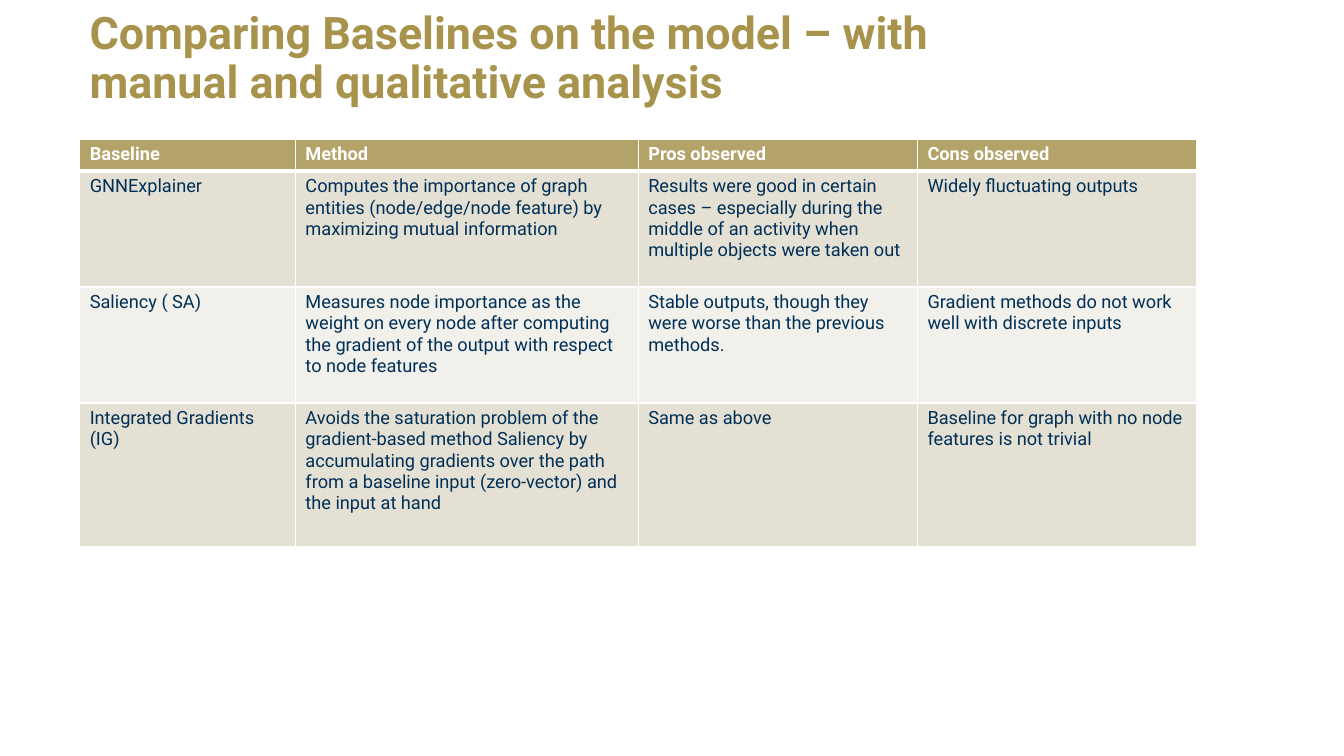
"""Build a slide that compares explanation baselines in a table."""
from lxml.etree import SubElement
from pptx import Presentation
from pptx.dml.color import RGBColor as Rgb
from pptx.enum.text import MSO_ANCHOR as Anchor
from pptx.oxml.ns import qn
from pptx.util import Inches, Pt

FONT = "Roboto"
COLORS = {
    "title": "A7934B",
    "header": "B3A369",
    "odd": "E5E0D4",
    "even": "F2F0EB",
    "body": "003057",
    "white": "FFFFFF",
}
LEFT = 0.79
COLUMN_WIDTHS = [2.14, 3.4, 2.77, 2.77]
ROW_HEIGHTS = [0.3, 1.15, 1.15, 1.43]
BASELINES = [
    ["Baseline", "Method", "Pros observed", "Cons observed"],
    [
        "GNNExplainer",
        "Computes the importance of graph entities (node/edge/node feature) "
        "by maximizing mutual information",
        "Results were good in certain cases – especially during the middle "
        "of an activity when multiple objects were taken out",
        "Widely fluctuating outputs",
    ],
    [
        "Saliency ( SA)",
        "Measures node importance as the weight on every node after computing "
        "the gradient of the output with respect to node features",
        "Stable outputs, though they were worse than the previous methods.",
        "Gradient methods do not work well with discrete inputs",
    ],
    [
        "Integrated Gradients (IG)",
        "Avoids the saturation problem of the gradient-based method Saliency "
        "by accumulating gradients over the path from a baseline input "
        "(zero-vector) and the input at hand",
        "Same as above",
        "Baseline for graph with no node features is not trivial",
    ],
]


def write(text_frame, text, size, color, bold):
    text_frame.text = text
    text_frame.word_wrap = True
    font = text_frame.paragraphs[0].runs[0].font
    font.name = FONT
    font.size = Pt(size)
    font.bold = bold
    font.color.rgb = Rgb.from_string(COLORS[color])


def add_title(slide, text):
    box = slide.shapes.add_textbox(Inches(LEFT), Inches(0.06), Inches(8.63), Inches(1.3))
    write(box.text_frame, text, 32, "title", True)
    box.text_frame.vertical_anchor = Anchor.TOP
    box.text_frame.paragraphs[0].line_spacing = 0.9


def set_borders(cell, top, bottom):
    properties = cell._tc.get_or_add_tcPr()
    for side, width in (("L", 1), ("R", 1), ("T", top), ("B", bottom)):
        line = SubElement(properties, qn(f"a:ln{side}"), w=str(Pt(width)))
        fill = SubElement(line, qn("a:solidFill"))
        SubElement(fill, qn("a:srgbClr"), val=COLORS["white"])


def format_cell(cell, text, row_index):
    is_header = row_index == 0
    band = "header" if is_header else "odd" if row_index % 2 else "even"
    write(cell.text_frame, text, 13, "white" if is_header else "body", is_header)
    set_borders(cell, 3 if row_index == 1 else 1, 3 if is_header else 1)
    cell.fill.solid()
    cell.fill.fore_color.rgb = Rgb.from_string(COLORS[band])


def add_comparison(slide, rows):
    table = slide.shapes.add_table(
        len(rows), len(COLUMN_WIDTHS), Inches(LEFT), Inches(1.38),
        Inches(sum(COLUMN_WIDTHS)), Inches(sum(ROW_HEIGHTS)),
    ).table
    for column, width in zip(table.columns, COLUMN_WIDTHS):
        column.width = Inches(width)
    for row_index, texts in enumerate(rows):
        table.rows[row_index].height = Inches(ROW_HEIGHTS[row_index])
        for column_index, text in enumerate(texts):
            format_cell(table.cell(row_index, column_index), text, row_index)


def main():
    presentation = Presentation()
    presentation.slide_width = Inches(13.33)
    presentation.slide_height = Inches(7.5)
    slide = presentation.slides.add_slide(presentation.slide_layouts[6])
    add_title(slide, "Comparing Baselines on the model – with manual and qualitative analysis")
    add_comparison(slide, BASELINES)
    presentation.save("out.pptx")


if __name__ == "__main__":
    main()
